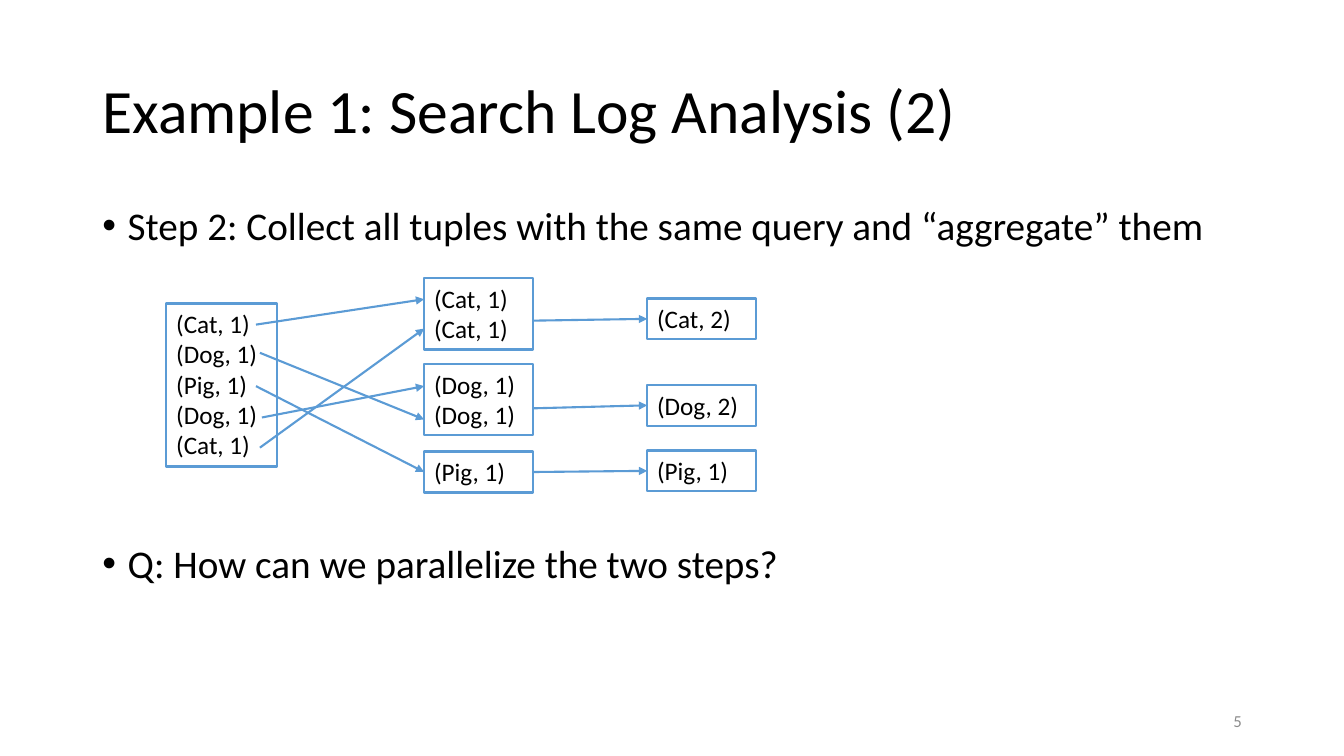
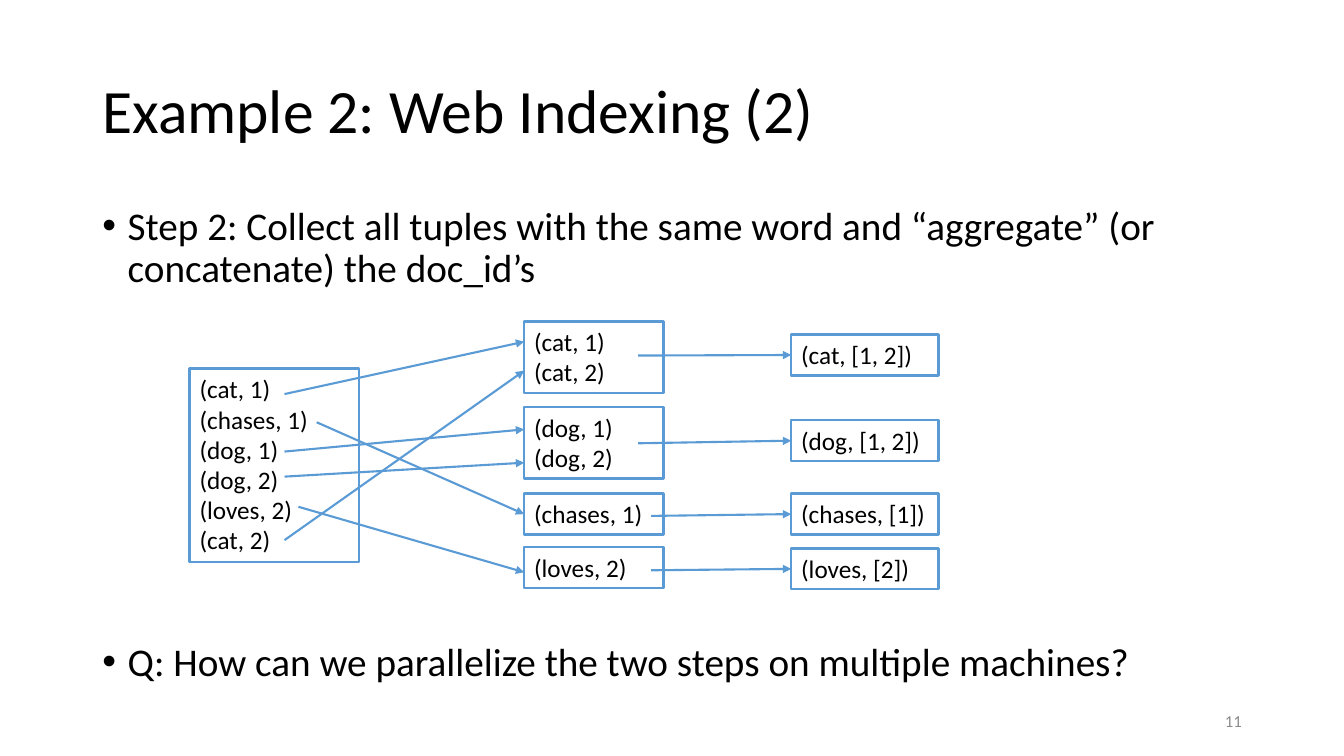
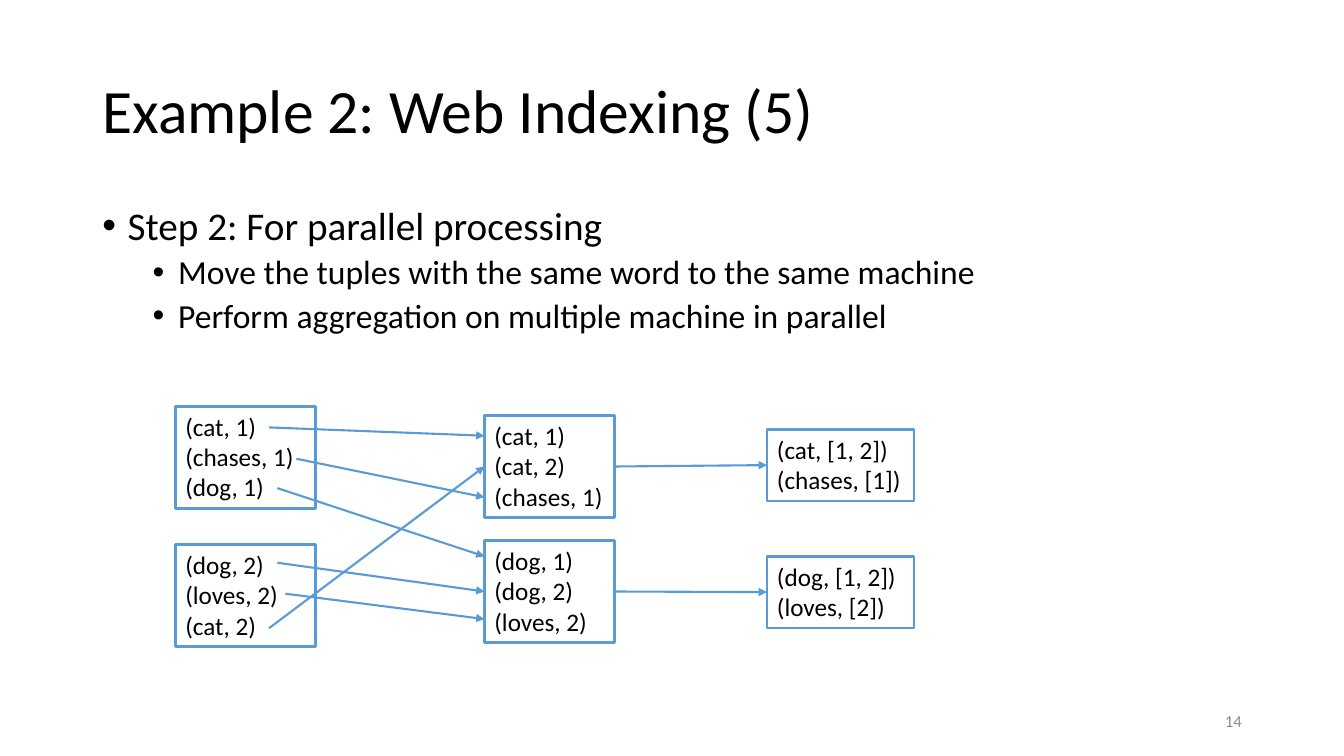
from dataclasses import dataclass

from lxml.etree import SubElement
from pptx import Presentation
from pptx.dml.color import RGBColor
from pptx.enum.shapes import MSO_CONNECTOR, MSO_SHAPE
from pptx.enum.text import MSO_ANCHOR, PP_ALIGN
from pptx.oxml.ns import qn
from pptx.util import Cm, Pt


@dataclass(frozen=True)
class Theme:
    font: str = "Calibri"
    ink: str = "000000"
    muted: str = "8C8C8C"
    accent: str = "5B9BD5"
    title: float = 44
    body: tuple = (28, 24)
    tuples: float = 18
    number: float = 12
    box_line: float = 1.75
    arrow_line: float = 1.5
    row: float = 0.77
    box_pad: float = 0.26
    snap: float = 0.08


T = Theme()
TITLE_BOX = (2.33, 1.02, 29.21, 3.68)
NUMBER_BOX = (23.93, 17.65, 7.62, 1.02)
BODY_LEVELS = (
    {"indent": 0.64, "before": 10},
    {"indent": 1.91, "before": 5},
)
HANGING = 0.64

SLIDES = (
    {
        "title": "Example 1: Search Log Analysis (2)",
        "number": "5",
        "body_box": (2.33, 5.08, 29.21, 12.09),
        "body": (
            (0, "Step 2: Collect all tuples with the same query and “aggregate” them", None),
            (0, "Q: How can we parallelize the two steps?", 211),
        ),
        "origin": (4.19, 7.01),
        "columns": (
            (0, 2.79, ((0.64, ("(Cat, 1)", "(Dog, 1)", "(Pig, 1)", "(Dog, 1)", "(Cat, 1)")),)),
            (6.5, 2.74, (
                (0, ("(Cat, 1)", "(Cat, 1)")),
                (2.16, ("(Dog, 1)", "(Dog, 1)")),
                (4.37, ("(Pig, 1)",)),
            )),
            (12.12, 2.74, (
                (0.51, ("(Cat, 2)",)),
                (2.69, ("(Dog, 2)",)),
                (4.34, ("(Pig, 1)",)),
            )),
        ),
        "arrows": (
            ((2.26, 1.17, 0.53), (2.36, 1.88, 3.56), (2.26, 2.72, 4.88),
             (2.41, 3.51, 2.72), (2.36, 4.27, 1.27)),
            ((9.24, 1.07, 1.04), (9.24, 3.28, 3.23), (9.24, 4.9, 4.88)),
        ),
    },
    {
        "title": "Example 2: Web Indexing (2)",
        "number": "11",
        "body_box": (2.33, 5.08, 29.21, 12.95),
        "body": (
            (0, "Step 2: Collect all tuples with the same word and “aggregate” "
                "(or concatenate) the doc_id’s", None),
            (0, "Q: How can we parallelize the two steps on multiple machines?", 251),
        ),
        "origin": (4.78, 8.1),
        "columns": (
            (0, 4.27, ((1.19, ("(cat, 1)", "(chases, 1)", "(dog, 1)",
                               "(dog, 2)", "(loves, 2)", "(cat, 2)")),)),
            (8.43, 3.51, (
                (0, ("(cat, 1)", "(cat, 2)")),
                (2.16, ("(dog, 1)", "(dog, 2)")),
                (4.34, ("(chases, 1)",)),
                (5.69, ("(loves, 2)",)),
            )),
            (15.16, 3.71, (
                (0.33, ("(cat, [1, 2])",)),
                (2.49, ("(dog, [1, 2])",)),
                (4.34, ("(chases, [1])",)),
                (5.72, ("(loves, [2])",)),
            )),
        ),
        "arrows": (
            ((2.39, 1.83, 0.51), (3.2, 2.54, 4.85), (2.39, 3.28, 2.72),
             (2.39, 3.91, 3.56), (2.74, 4.67, 6.32), (2.39, 5.51, 1.24)),
            ((11.3, 0.86, 0.84), (11.3, 3.07, 3.05),
             (11.63, 4.9, 4.88), (11.63, 6.27, 6.25)),
        ),
    },
    {
        "title": "Example 2: Web Indexing (5)",
        "number": "14",
        "body_box": (2.33, 5.08, 29.21, 12.09),
        "body": (
            (0, "Step 2: For parallel processing", None),
            (1, "Move the tuples with the same word to the same machine", None),
            (1, "Perform aggregation on multiple machine in parallel", None),
        ),
        "origin": (4.42, 10.24),
        "columns": (
            (0, 3.53, (
                (0, ("(cat, 1)", "(chases, 1)", "(dog, 1)")),
                (3.48, ("(dog, 2)", "(loves, 2)", "(cat, 2)")),
            )),
            (7.79, 3.28, (
                (0.23, ("(cat, 1)", "(cat, 2)", "(chases, 1)")),
                (3.38, ("(dog, 1)", "(dog, 2)", "(loves, 2)")),
            )),
            (14.91, 3.71, (
                (0.58, ("(cat, [1, 2])", "(chases, [1])")),
                (3.78, ("(dog, [1, 2])", "(loves, [2])")),
            )),
        ),
        "arrows": (
            ((2.36, 0.53, 0.74), (3.05, 1.32, 2.29), (2.57, 2.06, 3.78),
             (2.57, 3.94, 4.65), (2.77, 4.72, 5.36), (2.36, 5.59, 1.47)),
            ((11.07, 1.5, 1.47), (11.07, 4.67, 4.65)),
        ),
    },
)


def apply(obj, values):
    for name, value in values.items():
        setattr(obj, name, value)


def write(p, text, size, color=T.ink, **values):
    apply(p, values)
    r = p.add_run()
    r.text = text
    apply(r.font, {"name": T.font, "size": Pt(size)})
    r.font.color.rgb = RGBColor.from_string(color)


def paragraphs(tf, items):
    for i, item in enumerate(items):
        yield (tf.add_paragraph() if i else tf.paragraphs[0]), item


def add_text_frame(s, box, anchor):
    tf = s.shapes.add_textbox(*map(Cm, box)).text_frame
    apply(tf, {"word_wrap": True, "vertical_anchor": anchor})
    return tf


def set_line(line, width):
    line.color.rgb = RGBColor.from_string(T.accent)
    line.width = Pt(width)


def add_title(s, box, text):
    tf = add_text_frame(s, box, MSO_ANCHOR.MIDDLE)
    write(tf.paragraphs[0], text, T.title, line_spacing=0.9)


def add_number(s, box, text):
    tf = add_text_frame(s, box, MSO_ANCHOR.MIDDLE)
    write(tf.paragraphs[0], text, T.number, T.muted, alignment=PP_ALIGN.RIGHT)


def add_body(s, box, items):
    tf = add_text_frame(s, box, MSO_ANCHOR.TOP)
    for p, (level, text, gap) in paragraphs(tf, items):
        style = BODY_LEVELS[level]
        write(p, text, T.body[level], level=level, line_spacing=0.9,
              space_before=Pt(gap or style["before"]))
        pPr = p._p.get_or_add_pPr()
        pPr.set("marL", str(Cm(style["indent"])))
        pPr.set("indent", str(-Cm(HANGING)))
        SubElement(pPr, qn("a:buFont"), typeface="Arial")
        SubElement(pPr, qn("a:buChar"), char="•")


def add_tuple_box(s, left, top, width, lines):
    height = T.box_pad + T.row * len(lines)
    sp = s.shapes.add_shape(MSO_SHAPE.RECTANGLE, *map(Cm, (left, top, width, height)))
    sp.shadow.inherit = False
    sp.fill.background()
    set_line(sp.line, T.box_line)
    tf = sp.text_frame
    apply(tf, {"word_wrap": True, "vertical_anchor": MSO_ANCHOR.TOP})
    for p, text in paragraphs(tf, lines):
        write(p, text, T.tuples, alignment=PP_ALIGN.LEFT)
    return sp


def join_side(connect, boxes, x, y):
    for sp in boxes:
        middle = sp.top + sp.height / 2
        for site, side in ((1, sp.left), (3, sp.left + sp.width)):
            if max(abs(side - Cm(x)), abs(middle - Cm(y))) < Cm(T.snap):
                connect(sp, site)


def add_arrow(s, boxes, start, end):
    cx = s.shapes.add_connector(MSO_CONNECTOR.STRAIGHT, *map(Cm, start + end))
    set_line(cx.line, T.arrow_line)
    SubElement(cx.line._get_or_add_ln(), qn("a:tailEnd"), type="triangle")
    SubElement(cx._element.spPr, qn("a:effectLst"))
    join_side(cx.begin_connect, boxes, *start)
    join_side(cx.end_connect, boxes, *end)


def add_flow(s, origin, columns, arrows):
    x0, y0 = origin
    boxes = [
        add_tuple_box(s, x0 + left, y0 + top, width, lines)
        for left, width, stack in columns
        for top, lines in stack
    ]
    for (target, _, _), group in zip(columns[1:], arrows):
        for x, y, end_y in group:
            add_arrow(s, boxes, (x0 + x, y0 + y), (x0 + target, y0 + end_y))


def add_example_slide(prs, data):
    s = prs.slides.add_slide(prs.slide_layouts[6])
    add_title(s, TITLE_BOX, data["title"])
    add_body(s, data["body_box"], data["body"])
    add_number(s, NUMBER_BOX, data["number"])
    add_flow(s, data["origin"], data["columns"], data["arrows"])


def main():
    prs = Presentation()
    apply(prs, {"slide_width": Cm(33.87), "slide_height": Cm(19.05)})
    for data in SLIDES:
        add_example_slide(prs, data)
    prs.save("out.pptx")


if __name__ == "__main__":
    main()
